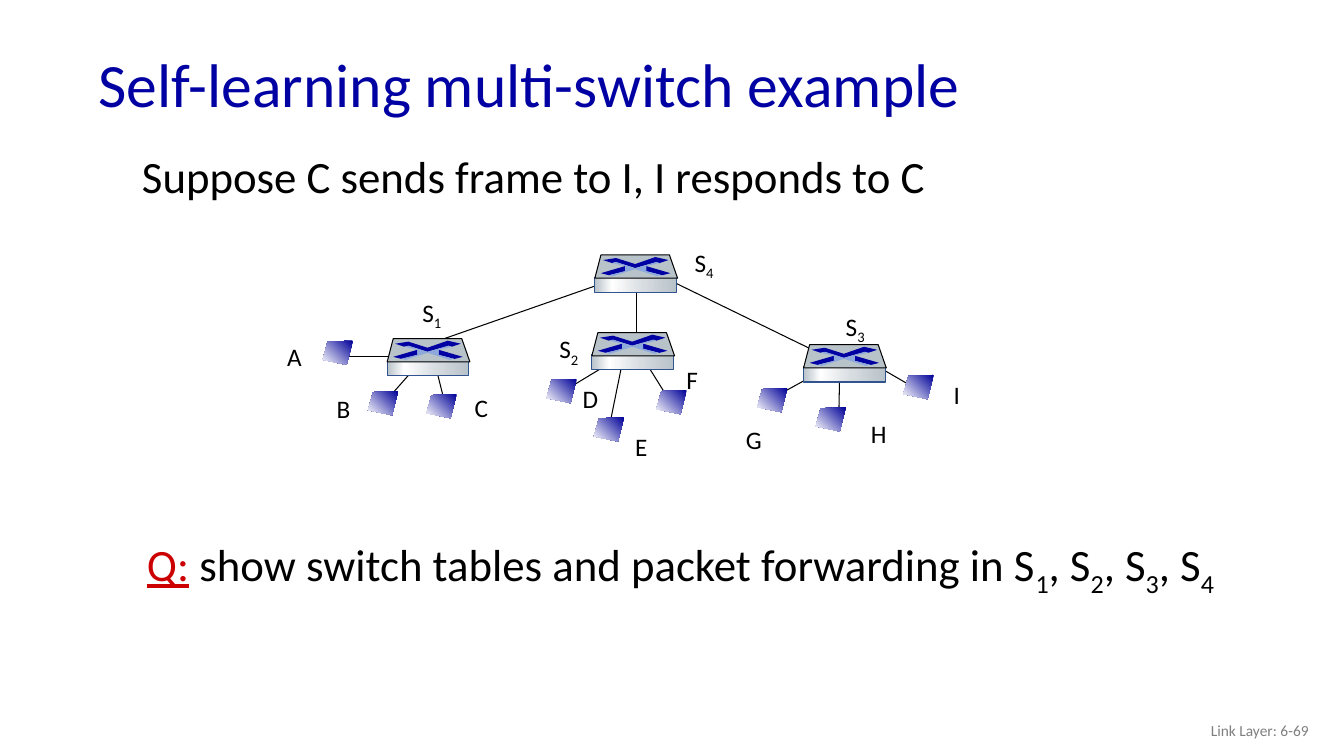
import pptx
import pptx.util
import pptx.dml.color
import pptx.enum.shapes
import pptx.enum.text
import pptx.oxml
import pptx.oxml.ns

CELL = 9144
COLS, ROWS = 1333, 750
FONT = "Calibri"
BLACK, NAVY, STEEL = "000000", "0000A3", "B8C2C9"
METAL = [(0, STEEL), (21, "FFFFFF"), (60, "D6DCE0"), (100, STEEL)]
GLOW = [(0, "000099"), (100, "FFFFFF")]

HOST = [(30, 0), (5, 1), (0, 19), (24, 24)]
LID = [(0, 23), (6, 0), (74, 0), (82, 23)]
CROSS = [(60, 2), (73, 5), (64, 8), (61, 7), (40, 13),
         (21, 7), (17, 8), (8, 5), (21, 3), (40, 9)]
RIGHT = [(51, 11), (75, 18), (67, 20), (51, 16)]
LEFT = [(30, 11), (30, 16), (14, 20), (6, 18)]
SHADE = [(17, 8), (21, 7), (40, 13), (61, 7), (64, 8), (51, 11), (51, 16),
         (66, 20), (62, 21), (40, 14), (18, 21), (14, 20), (30, 16), (30, 11)]

LINKS = [(404, 354, 344, 354), (416, 360, 386, 394), (432, 363, 440, 395),
         (607, 359, 569, 382), (617, 361, 604, 425), (637, 354, 662, 394),
         (824, 363, 777, 389), (833, 360, 832, 411), (873, 365, 904, 383),
         (598, 281, 432, 339), (631, 277, 631, 343), (812, 350, 658, 275)]
HOSTS = [(320, 338), (365, 388), (423, 391), (542, 376), (589, 414),
         (651, 387), (751, 385), (809, 404), (896, 372)]
SWITCHES = [(590, 253), (797, 342), (587, 330), (384, 336)]
LABELS = [("A", 275, 334, 35), ("B", 324, 385, 34), ("C", 461, 384, 34),
          ("D", 568, 375, 36), ("E", 620, 423, 32), ("F", 671, 357, 32),
          ("G", 730, 416, 36), ("H", 854, 410, 36), ("I", 936, 371, 27),
          ("S_1", 409, 290, 40), ("S_2", 545, 326, 40),
          ("S_3", 829, 304, 40), ("S_4", 679, 240, 40)]


def tint(code):
    """Turn a hex string into a colour."""
    return pptx.dml.color.RGBColor.from_string(code)


def grid(*cells):
    """Turn grid cells into lengths."""
    return [pptx.util.Emu(cell * CELL) for cell in cells]


def style(item, values):
    """Set each named value on the item."""
    for name, value in values.items():
        setattr(item, name, value)


def subs(text, **form):
    """Split text at underscores into plain and subscript runs."""
    return [(part, dict(form, sub=i % 2)) for i, part in enumerate(text.split("_"))]


def write(slide, area, runs, size, wrap=True, frame={}, para={}, indent={}):
    """Add a text box with one paragraph of runs."""
    box = slide.shapes.add_textbox(*grid(*area)).text_frame
    style(box, dict(frame, word_wrap=wrap))
    line = box.paragraphs[0]
    style(line, para)
    for name, cells in indent.items():
        line._p.get_or_add_pPr().set(name, str(cells * CELL))
    for text, form in runs:
        run = line.add_run()
        run.text = text
        style(run.font, {"name": FONT, "size": pptx.util.Pt(size),
                         "underline": form.get("under")})
        run.font.color.rgb = tint(form.get("color", BLACK))
        if form.get("sub"):
            run.font._element.set("baseline", "-25000")


def paint(shape, fill, edge=None, angle=0):
    """Give a shape a plain or gradient fill and an edge."""
    shape.shadow.inherit = False
    if isinstance(fill, str):
        shape.fill.solid()
        shape.fill.fore_color.rgb = tint(fill)
    else:
        shape.fill.gradient()
        shape.fill.gradient_angle = angle
        stops = shape.element.spPr.find(".//" + pptx.oxml.ns.qn("a:gsLst"))
        for stop in list(stops):
            stops.remove(stop)
        for place, code in fill:
            stops.append(pptx.oxml.parse_xml(
                f'<a:gs {pptx.oxml.ns.nsdecls("a")} pos="{place * 1000}">'
                f'<a:srgbClr val="{code}"/></a:gs>'))
    if edge:
        shape.line.color.rgb = tint(edge)
        shape.line.width = pptx.util.Pt(0.75)
    else:
        shape.line.fill.background()


def draw(slide, spot, points, fill, **looks):
    """Draw a closed outline placed at a spot."""
    form = slide.shapes.build_freeform(*points[0], scale=CELL)
    form.add_line_segments(points[1:], close=True)
    paint(form.convert_to_shape(*grid(*spot)), fill, **looks)


def link(slide, ends):
    """Draw a thin line between two points."""
    wire = slide.shapes.add_connector(
        pptx.enum.shapes.MSO_CONNECTOR.STRAIGHT, *grid(*ends))
    wire.line.color.rgb = tint(BLACK)
    wire.line.width = pptx.util.Pt(0.75)
    wire.element.spPr.append(pptx.oxml.parse_xml(
        f'<a:effectLst {pptx.oxml.ns.nsdecls("a")}/>'))


def switch(slide, spot):
    """Draw a switch with a metal front and a crossed lid."""
    left, top = spot
    front = slide.shapes.add_shape(
        pptx.enum.shapes.MSO_SHAPE.RECTANGLE, *grid(left, top + 22, 81, 15))
    paint(front, METAL, "31538F")
    draw(slide, spot, LID, STEEL, edge=BLACK)
    for points in (CROSS, RIGHT, LEFT):
        draw(slide, spot, points, NAVY)
    draw(slide, spot, SHADE, "8DA9DB")


def main():
    """Build the slide and save it."""
    deck = pptx.Presentation()
    style(deck, dict(zip(("slide_width", "slide_height"), grid(COLS, ROWS))))
    slide = deck.slides.add_slide(deck.slide_layouts[6])
    middle = {"vertical_anchor": pptx.enum.text.MSO_ANCHOR.MIDDLE}
    write(slide, (88, 38, 1150, 98),
          [("Self-learning multi-switch example", {"color": NAVY})], 44,
          frame=middle, para={"line_spacing": 0.9})
    write(slide, (1008, 705, 300, 40), [("Link Layer: 6-69", {"color": "7F7F7F"})], 11,
          frame=middle, para={"alignment": pptx.enum.text.PP_ALIGN.RIGHT})
    write(slide, (116, 149, 956, 88),
          [("Suppose C sends frame to I, I responds to C", {})], 32,
          para={"line_spacing": 0.9}, indent={"marL": 39, "indent": -24})
    ask = [("Q:", {"color": "CC0000", "under": True})]
    ask += subs(" show switch tables and packet forwarding in S_1_, S_2_, S_3_, S_4")
    write(slide, (136, 531, 1197, 202), ask, 32, para={"line_spacing": 0.85})
    for ends in LINKS:
        link(slide, ends)
    for spot in HOSTS:
        draw(slide, spot, HOST, GLOW, angle=225)
    for spot in SWITCHES:
        switch(slide, spot)
    for text, left, top, width in LABELS:
        write(slide, (left, top, width, 40), subs(text), 18, wrap=False)
    deck.save("out.pptx")


if __name__ == "__main__":
    main()
